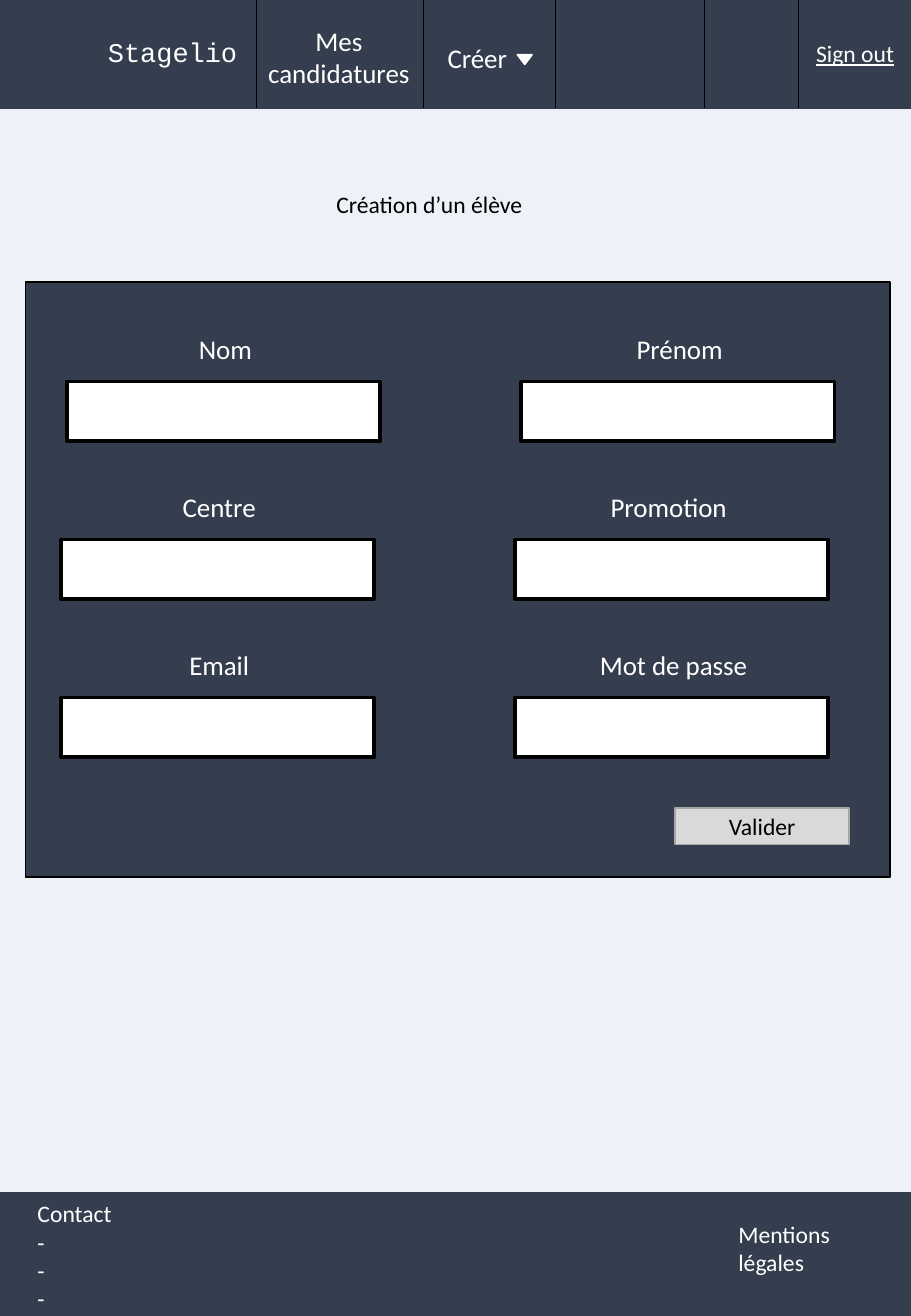
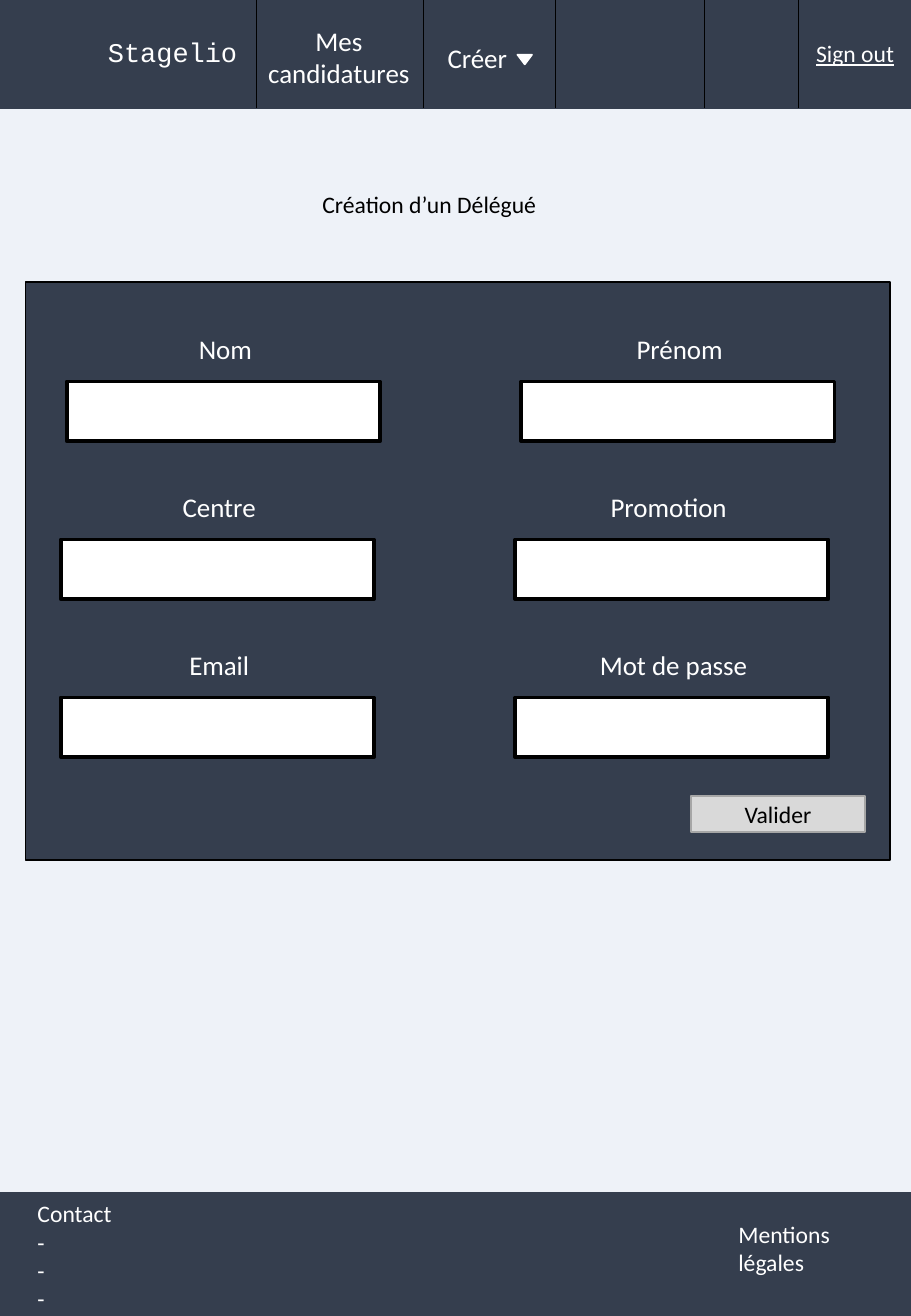
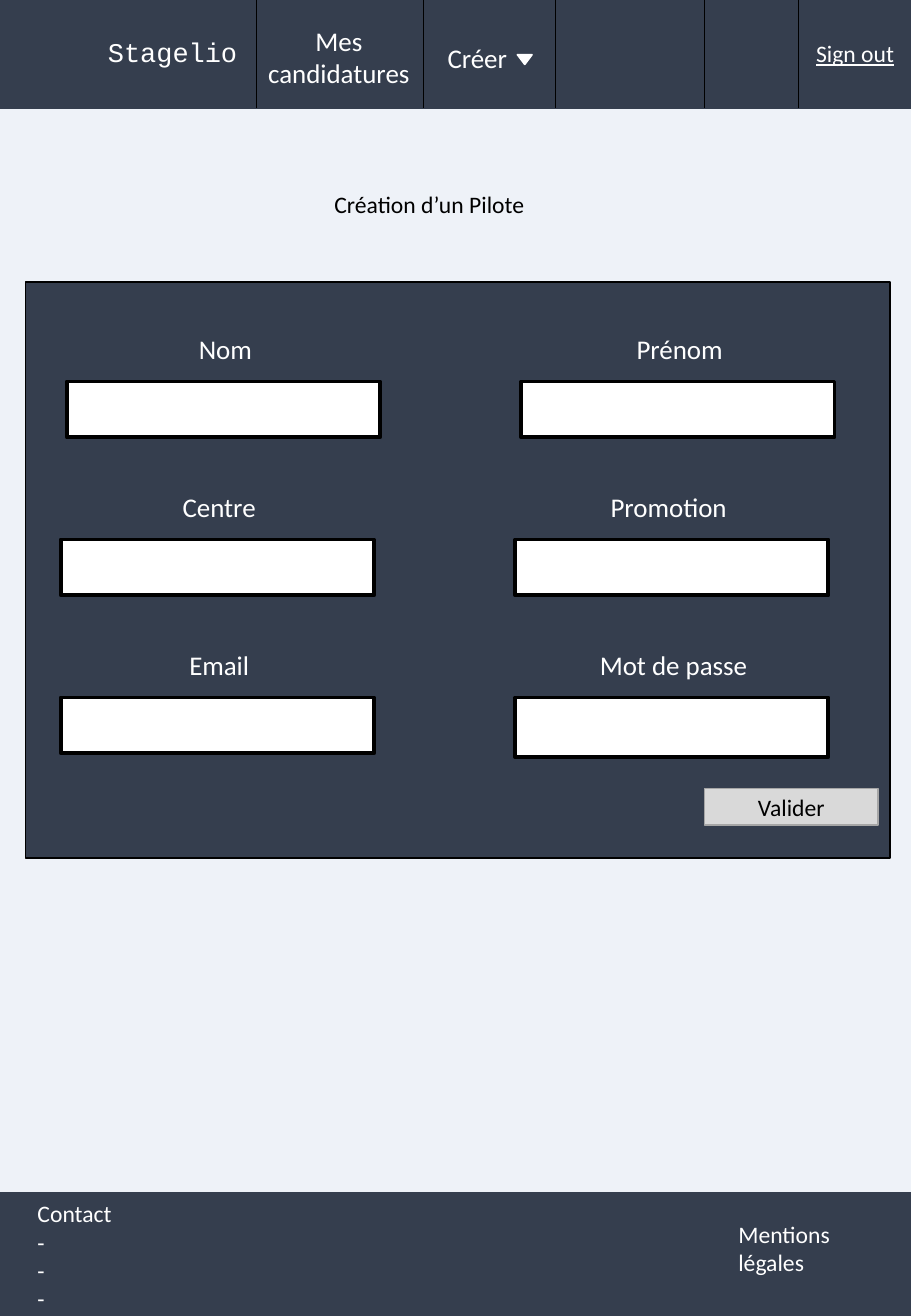
from dataclasses import dataclass

from lxml.etree import SubElement
from pptx import Presentation
from pptx.dml.color import RGBColor
from pptx.enum.shapes import MSO_CONNECTOR, MSO_SHAPE
from pptx.enum.text import MSO_ANCHOR, MSO_AUTO_SIZE, PP_ALIGN
from pptx.oxml.ns import qn
from pptx.shapes.autoshape import Shape
from pptx.shapes.shapetree import _BaseGroupShapes as ShapeTree
from pptx.slide import Slide
from pptx.util import Inches, Pt

COLORS = {
    "page": "EEF2F8",
    "slate": "353E4E",
    "white": "FFFFFF",
    "black": "000000",
    "button": "D9D9D9",
    "button_edge": "A6A6A6",
}
BODY_FONT = "Calibri"
BRAND_FONT = "Courier New"

SLIDE_WIDTH, SLIDE_HEIGHT = 7.5, 10.83
HEADER_TOP, HEADER_BOTTOM = -0.02, 0.89
FOOTER_TOP = 9.82
MENU_DIVIDERS = (2.11, 3.49, 4.57, 5.8, 6.57)

PANEL_LEFT, PANEL_TOP, PANEL_WIDTH = 0.21, 2.32, 7.12
ROW_LEFTS = (0.55, 0.5, 0.5)
FIRST_ROW_TOP, ROW_PITCH, COLUMN_PITCH = 3.14, 1.3, 3.74
FIELD_WIDTH, FIELD_HEIGHT = 2.58, 0.49
LABEL_INDENT, LABEL_RISE = 0.08, 0.45
LABEL_WIDTH, LABEL_HEIGHT = 2.45, 0.37


@dataclass(frozen=True)
class Box:
    left: float
    top: float
    width: float
    height: float

    def lengths(self) -> tuple[Inches, ...]:
        return tuple(Inches(value) for value in (self.left, self.top, self.width, self.height))


@dataclass(frozen=True)
class Label:
    text: str
    box: Box
    size: int = 16
    color: str = "white"
    font: str = BODY_FONT
    align: PP_ALIGN = PP_ALIGN.LEFT
    underline: bool = False


@dataclass(frozen=True)
class Field:
    name: str
    row: int
    column: int
    label_shift: float = 0
    fixed_height: bool = False


@dataclass(frozen=True)
class Form:
    title: str
    panel_height: float
    button_left: float
    button_top: float
    field_height: float = FIELD_HEIGHT


HEADER_LABELS = (
    Label("Sign out", Box(6.62, 0.27, 0.88, 0.34), size=14, underline=True),
    Label("Stagelio", Box(0.79, 0.24, 1.62, 0.37), font=BRAND_FONT),
    Label("Mes candidatures", Box(2.04, 0.15, 1.5, 0.64), align=PP_ALIGN.CENTER),
    Label("Créer", Box(3.5, 0.29, 0.86, 0.37), align=PP_ALIGN.CENTER),
)
FOOTER_LABELS = (
    Label("Contact\n-\n-\n-", Box(0.21, FOOTER_TOP, 1.31, 1.04), size=14),
    Label("Mentions légales", Box(5.98, 9.99, 1.31, 0.57), size=14),
)
FIELDS = (
    Field("Nom", 0, 0),
    Field("Prénom", 0, 1),
    Field("Centre", 1, 0),
    Field("Promotion", 1, 1, label_shift=-0.04),
    Field("Email", 2, 0),
    Field("Mot de passe", 2, 1, fixed_height=True),
)
FORMS = (
    Form("Création d’un élève", 4.9, 5.56, 6.65),
    Form("Création d’un Délégué", 4.76, 5.69, 6.55),
    Form("Création d’un Pilote", 4.74, 5.8, 6.49, field_height=0.46),
)


def color(name: str) -> RGBColor:
    return RGBColor.from_string(COLORS[name])


def write_text(shape: Shape, label: Label) -> None:
    shape.text_frame.text = label.text
    shape.text_frame.word_wrap = True
    for paragraph in shape.text_frame.paragraphs:
        paragraph.alignment = label.align
        for run in paragraph.runs:
            run.font.name = label.font
            run.font.size = Pt(label.size)
            run.font.underline = label.underline
            run.font.color.rgb = color(label.color)


def add_label(shapes: ShapeTree, label: Label) -> None:
    textbox = shapes.add_textbox(*label.box.lengths())
    write_text(textbox, label)
    textbox.text_frame.auto_size = MSO_AUTO_SIZE.SHAPE_TO_FIT_TEXT


def add_block(
    shapes: ShapeTree,
    box: Box,
    fill: str,
    edge: str,
    edge_width: float = 1,
    kind: MSO_SHAPE = MSO_SHAPE.RECTANGLE,
) -> Shape:
    shape = shapes.add_shape(kind, *box.lengths())
    shape.shadow.inherit = False
    shape.fill.solid()
    shape.fill.fore_color.rgb = color(fill)
    shape.line.color.rgb = color(edge)
    shape.line.width = Pt(edge_width)
    return shape


def add_divider(shapes: ShapeTree, left: float) -> None:
    divider = shapes.add_connector(
        MSO_CONNECTOR.STRAIGHT,
        Inches(left),
        Inches(HEADER_TOP),
        Inches(left),
        Inches(HEADER_BOTTOM),
    )
    divider.line.color.rgb = color("black")
    divider.line.width = Pt(0.5)
    SubElement(divider.element.spPr, qn("a:effectLst"))


def add_footer(slide: Slide) -> None:
    band = Box(0, FOOTER_TOP, SLIDE_WIDTH, SLIDE_HEIGHT - FOOTER_TOP)
    add_block(slide.shapes, band, "slate", "slate")
    for label in FOOTER_LABELS:
        add_label(slide.shapes, label)


def add_header(slide: Slide) -> None:
    shapes = slide.shapes.add_group_shape().shapes
    band = Box(0, HEADER_TOP, SLIDE_WIDTH, HEADER_BOTTOM - HEADER_TOP)
    add_block(shapes, band, "slate", "slate")
    for label in HEADER_LABELS:
        add_label(shapes, label)
    for left in MENU_DIVIDERS:
        add_divider(shapes, left)
    menu_arrow = add_block(
        shapes,
        Box(4.26, 0.45, 0.12, 0.08),
        "white",
        "white",
        kind=MSO_SHAPE.ISOSCELES_TRIANGLE,
    )
    menu_arrow.rotation = 180


def add_field(shapes: ShapeTree, field: Field, height: float) -> None:
    left = ROW_LEFTS[field.row] + field.column * COLUMN_PITCH
    top = FIRST_ROW_TOP + field.row * ROW_PITCH
    field_height = FIELD_HEIGHT if field.fixed_height else height
    add_block(shapes, Box(left, top, FIELD_WIDTH, field_height), "white", "black", 2.25)
    label_left = left + LABEL_INDENT + field.label_shift
    label_box = Box(label_left, top - LABEL_RISE, LABEL_WIDTH, LABEL_HEIGHT)
    add_label(shapes, Label(field.name, label_box, align=PP_ALIGN.CENTER))


def add_form(slide: Slide, form: Form) -> None:
    title_box = Box(1.81, 1.51, 3.45, 0.34)
    add_label(slide.shapes, Label(form.title, title_box, 14, "black", align=PP_ALIGN.CENTER))

    shapes = slide.shapes.add_group_shape().shapes
    panel = Box(PANEL_LEFT, PANEL_TOP, PANEL_WIDTH, form.panel_height)
    add_block(shapes, panel, "slate", "black")
    for field in FIELDS:
        add_field(shapes, field, form.field_height)

    button_box = Box(form.button_left, form.button_top, 1.43, 0.3)
    button = add_block(slide.shapes, button_box, "button", "button_edge")
    write_text(button, Label("Valider", button_box, 14, "black", align=PP_ALIGN.CENTER))
    button.text_frame.vertical_anchor = MSO_ANCHOR.MIDDLE


def main() -> None:
    presentation = Presentation()
    presentation.slide_width = Inches(SLIDE_WIDTH)
    presentation.slide_height = Inches(SLIDE_HEIGHT)
    background = presentation.slide_master.background.fill
    background.solid()
    background.fore_color.rgb = color("page")
    blank_layout = presentation.slide_layouts[6]
    for form in FORMS:
        slide = presentation.slides.add_slide(blank_layout)
        add_footer(slide)
        add_header(slide)
        add_form(slide, form)
    presentation.save("out.pptx")


if __name__ == "__main__":
    main()
